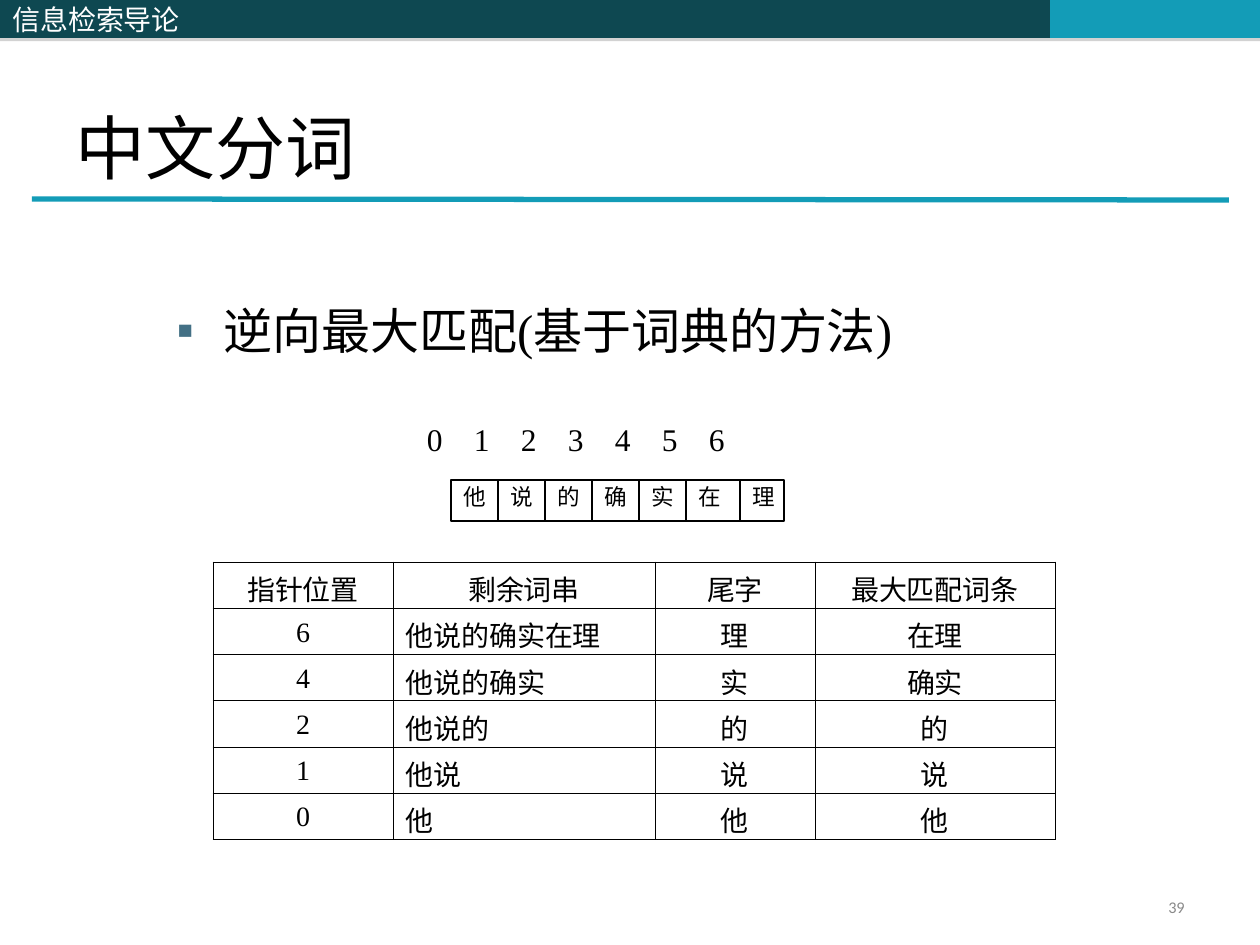
from dataclasses import dataclass

from lxml import etree
from pptx import Presentation
from pptx import util as u
from pptx.dml.color import RGBColor
from pptx.enum import shapes, text
from pptx.oxml import ns

PX = 914400 / 126
LEFT, CENTER, RIGHT = text.PP_ALIGN.LEFT, text.PP_ALIGN.CENTER, text.PP_ALIGN.RIGHT
TOP, MIDDLE, BOTTOM = text.MSO_ANCHOR.TOP, text.MSO_ANCHOR.MIDDLE, text.MSO_ANCHOR.BOTTOM


@dataclass(frozen=True)
class Theme:
    dark: str = "0E4851"
    accent: str = "139CB7"
    bullet: str = "437085"
    ink: str = "000000"
    paper: str = "FFFFFF"
    muted: str = "898989"
    shadow: str = "808080"
    serif: str = "Times New Roman"
    sans: str = "Calibri"
    cjk: str = "Noto Sans CJK SC"
    title: float = 40
    body: float = 28
    index: float = 18
    table: float = 16
    char: float = 12.9
    number: float = 9.3


T = Theme()
CHARS = "他说的确实在理"
COLUMNS = [180, 262, 160, 240]
ROWS = [
    ("指针位置", "剩余词串", "尾字", "最大匹配词条"),
    ("6", "他说的确实在理", "理", "在理"),
    ("4", "他说的确实", "实", "确实"),
    ("2", "他说的", "的", "的"),
    ("1", "他说", "说", "说"),
    ("0", "他", "他", "他"),
]


def px(n):
    return u.Emu(round(n * PX))


def rgb(color):
    return RGBColor.from_string(color)


def sub(parent, tag, **attrs):
    return etree.SubElement(parent, ns.qn(tag), {k: str(v) for k, v in attrs.items()})


def write(tf, words, size, color=T.ink, font=T.serif, align=LEFT, anchor=TOP):
    """Set one paragraph of text, format it and return it."""
    tf.text = words
    tf.word_wrap = True
    tf.vertical_anchor = anchor
    p = tf.paragraphs[0]
    p.alignment = align
    for r in p.runs:
        r.font.size, r.font.name = u.Pt(size), font
        r.font.color.rgb = rgb(color)
        sub(r.font._element, "a:ea", typeface=T.cjk)
    return p


def add_rect(slide, box, fill, line=None):
    sp = slide.shapes.add_shape(shapes.MSO_SHAPE.RECTANGLE, *map(px, box))
    sp.shadow.inherit = False
    sp.fill.solid()
    sp.fill.fore_color.rgb = rgb(fill)
    if line:
        sp.line.color.rgb = rgb(line)
        sp.line.width = u.Pt(0.75)
    else:
        sp.line.fill.background()
    return sp


def add_bar(slide, left, width, fill):
    """Header bar segment with a hard drop shadow."""
    sp = add_rect(slide, (left, 0, width, 38), fill)
    effects = sp._element.spPr.find(ns.qn("a:effectLst"))
    shadow = sub(effects, "a:outerShdw", blurRad=0, dist=u.Pt(1.8), dir=5400000, rotWithShape=0)
    sub(sub(shadow, "a:srgbClr", val=T.shadow), "a:alpha", val=35000)
    return sp


def add_header(slide):
    add_bar(slide, 514, 536, T.dark)
    add_bar(slide, 1050, 210, T.accent)
    name = add_bar(slide, 0, 514, T.dark)
    write(name.text_frame, "信息检索导论", T.table, T.paper, T.cjk, anchor=MIDDLE)


def add_rule(slide):
    line = slide.shapes.add_connector(
        shapes.MSO_CONNECTOR.STRAIGHT, px(32), px(199), px(1229), px(200))
    line.line.color.rgb = rgb(T.accent)
    line.line.width = u.Pt(3)
    sub(line._element.spPr, "a:effectLst")


def fill_placeholder(sp, box, words, size, anchor):
    sp.left, sp.top, sp.width, sp.height = map(px, box)
    p = write(sp.text_frame, words, size, anchor=anchor)
    sp.text_frame.auto_size = text.MSO_AUTO_SIZE.NONE
    return p


def set_bullet(p):
    p.space_before = u.Pt(7)
    pPr = p._p.get_or_add_pPr()
    pPr.set("marL", str(px(47)))
    pPr.set("indent", str(px(-47)))
    sub(sub(pPr, "a:buClr"), "a:srgbClr", val=T.bullet)
    sub(pPr, "a:buFont", typeface="Arial")
    sub(pPr, "a:buChar", char="▪")


def add_indices(slide, step):
    """Pointer positions, spaced by tab stops above the cell edges."""
    tf = slide.shapes.add_textbox(*map(px, (292, 393, 556, 107))).text_frame
    tf.margin_left, tf.margin_top, tf.margin_bottom = px(135), 0, px(16)
    p = write(tf, "\t".join(map(str, range(len(CHARS)))), T.index, anchor=MIDDLE)
    tabs = sub(p._p.get_or_add_pPr(), "a:tabLst")
    for i in range(1, len(CHARS)):
        sub(tabs, "a:tab", pos=px(step * i), algn="l")


def add_char_cells(slide, step):
    boxes = [(451 + step * i, 480, 84, 41) for i in range(len(CHARS) - 1)]
    boxes.append((740, 480, 44, 41))
    for box, char in zip(boxes, CHARS):
        sp = add_rect(slide, box, T.paper, T.ink)
        p = write(sp.text_frame, char, T.char)
        p.line_spacing = 0.9


def format_cell(cell, words, align):
    write(cell.text_frame, words, T.table, align=align)
    cell.vertical_anchor = BOTTOM
    tcPr = cell._tc.get_or_add_tcPr()
    for side in ("a:lnL", "a:lnR", "a:lnT", "a:lnB"):
        border = sub(tcPr, side, w=u.Pt(0.45))
        sub(sub(border, "a:solidFill"), "a:srgbClr", val=T.ink)
    cell.fill.background()


def add_match_table(slide):
    table = slide.shapes.add_table(
        len(ROWS), len(COLUMNS), px(213), px(562), px(sum(COLUMNS)), px(46 * len(ROWS))).table
    table.first_row = table.horz_banding = False
    for column, width in zip(table.columns, COLUMNS):
        column.width = px(width)
    for i, row in enumerate(ROWS):
        for j, words in enumerate(row):
            format_cell(table.cell(i, j), words, LEFT if i and j == 1 else CENTER)


def add_page_number(slide):
    tf = slide.shapes.add_textbox(*map(px, (903, 892, 294, 34))).text_frame
    p = write(tf, "39", T.number, T.muted, T.sans, RIGHT, MIDDLE)
    p.line_spacing = 0.8


def main():
    prs = Presentation()
    prs.slide_width, prs.slide_height = px(1260), px(945)
    slide = prs.slides.add_slide(prs.slide_layouts[1])
    title, body = slide.placeholders
    add_header(slide)
    add_rule(slide)
    fill_placeholder(title, (63, 38, 1134, 157), "中文分词", T.title, BOTTOM)
    set_bullet(fill_placeholder(
        body, (164, 294, 1071, 499), "逆向最大匹配(基于词典的方法)", T.body, TOP))
    add_page_number(slide)
    add_match_table(slide)
    step = 47
    add_indices(slide, step)
    add_char_cells(slide, step)
    prs.save("out.pptx")


if __name__ == "__main__":
    main()
